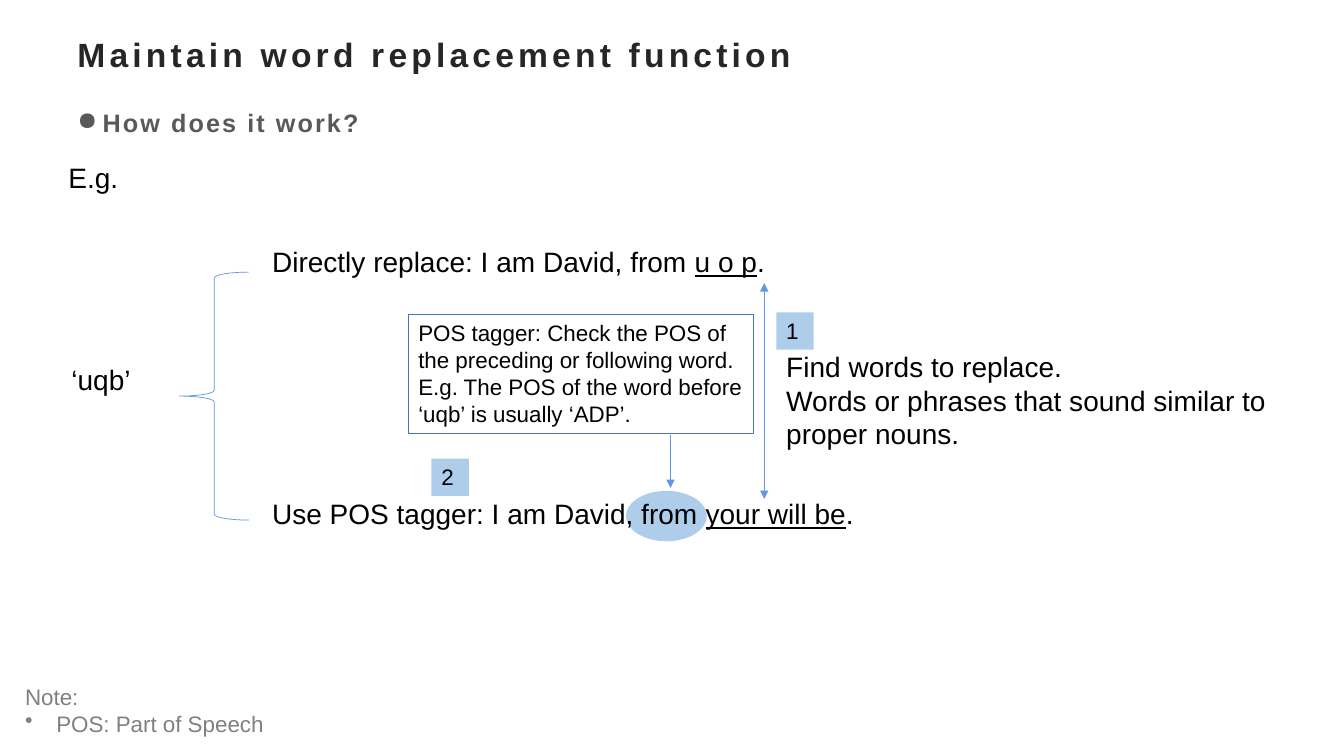
from lxml import etree
from pptx import Presentation
from pptx.dml.color import RGBColor
from pptx.enum.shapes import MSO_CONNECTOR, MSO_SHAPE
from pptx.enum.text import MSO_ANCHOR, PP_ALIGN
from pptx.oxml.ns import qn
from pptx.util import Inches, Pt

LEFT = PP_ALIGN.LEFT
TOP, MIDDLE = MSO_ANCHOR.TOP, MSO_ANCHOR.MIDDLE
RECTANGLE, OVAL, BRACE = MSO_SHAPE.RECTANGLE, MSO_SHAPE.OVAL, MSO_SHAPE.LEFT_BRACE
STRAIGHT = MSO_CONNECTOR.STRAIGHT

BLACK = RGBColor(0x00, 0x00, 0x00)
TITLE_GREY = RGBColor(0x26, 0x26, 0x26)
HEADING_GREY = RGBColor(0x59, 0x59, 0x59)
NOTE_GREY = RGBColor(0x80, 0x80, 0x80)
PALE_BLUE = RGBColor(0xAD, 0xCD, 0xEA)
LINE_BLUE = RGBColor(0x60, 0x96, 0xE6)
BORDER_BLUE = RGBColor(0x44, 0x72, 0xC4)


def write(frame, paragraphs, size=20, color=BLACK, bold=False, anchor=TOP):
    """Fill a text frame; each paragraph is a list of runs, odd runs underlined."""
    frame.word_wrap = True
    frame.vertical_anchor = anchor
    for index, runs in enumerate(paragraphs):
        paragraph = frame.paragraphs[0] if index == 0 else frame.add_paragraph()
        paragraph.alignment = LEFT
        font = paragraph.font
        font.name, font.size, font.bold = "Arial", Pt(size), bold
        font.color.rgb = color
        for position, text in enumerate(runs):
            run = paragraph.add_run()
            run.text = text
            if position % 2:
                run.font.underline = True
    return frame.paragraphs


def add_text(slide, box, paragraphs, **style):
    """Add a text box at box (left, top, width, height) in inches."""
    frame = slide.shapes.add_textbox(*map(Inches, box)).text_frame
    return write(frame, paragraphs, **style)


def add_outline(slide, kind, box, fill=None, line=None, weight=0.5):
    """Add a shadowless preset shape with optional fill and line."""
    shape = slide.shapes.add_shape(kind, *map(Inches, box))
    shape.shadow.inherit = False
    if fill is None:
        shape.fill.background()
    else:
        shape.fill.solid()
        shape.fill.fore_color.rgb = fill
    if line is None:
        shape.line.fill.background()
    else:
        shape.line.color.rgb = line
        shape.line.width = Pt(weight)
    return shape


def add_arrow(slide, x, top, bottom, ends):
    """Add a vertical line with triangles at the given ends."""
    arrow = slide.shapes.add_connector(STRAIGHT, *map(Inches, (x, top, x, bottom)))
    arrow.line.color.rgb = LINE_BLUE
    arrow.line.width = Pt(0.5)
    properties = arrow._element.spPr
    for end in ends:
        etree.SubElement(properties.find(qn("a:ln")), qn(f"a:{end}"), type="triangle")
    etree.SubElement(properties, qn("a:effectLst"))


def add_bullet(paragraph, symbol, indent):
    """Give a paragraph a bullet with a hanging indent in inches."""
    properties = paragraph._p.get_or_add_pPr()
    properties.set("marL", str(Inches(indent)))
    properties.set("indent", str(-Inches(indent)))
    bullet = etree.Element(qn("a:buChar"), char=symbol)
    properties.find(qn("a:defRPr")).addprevious(bullet)


def track(paragraph, points):
    """Set the letter spacing of a paragraph's runs."""
    for run in paragraph.runs:
        run.font._element.set("spc", str(int(points * 100)))


def add_heading(slide, left, top, width):
    """Place the title and the bulleted question."""
    title, = add_text(slide, (left, top, width, 0.77),
                      [["Maintain word replacement function"]],
                      size=24, color=TITLE_GREY, bold=True, anchor=MIDDLE)
    track(title, 3)
    question, = add_text(slide, (left, top + 0.78, width, 0.5), [["How does it work?"]],
                         size=18, color=HEADING_GREY, bold=True)
    track(question, 1.5)
    question.line_spacing = 1.3
    question.space_after = Pt(10)
    add_bullet(question, "●", 0.25)


def add_step(slide, left, top, number):
    """Place a numbered square."""
    square = add_outline(slide, RECTANGLE, (left, top, 0.37, 0.37), fill=PALE_BLUE)
    write(square.text_frame, [[number]], size=16)


def add_example(slide, left, top):
    """Place the worked example with its brace, sentences, arrows and steps."""
    add_outline(slide, OVAL, (left + 5.63, top + 3.33, 0.8, 0.5), fill=PALE_BLUE)
    add_text(slide, (left, top, 2.4, 0.44), [["E.g."]])
    add_text(slide, (left + 0.03, top + 2.01, 1.03, 0.44), [["‘uqb’"]])
    add_outline(slide, BRACE, (left + 1.2, top + 1.16, 0.69, 2.46), line=LINE_BLUE)
    sentences = [
        ["Directly replace: I am David, from ", "u o p", "."],
        ["Use POS tagger: I am David, from ", "your will be", "."],
    ]
    for row, sentence in enumerate(sentences):
        add_text(slide, (left + 2.02, top + 0.84 + 2.5 * row, 6.58, 0.44), [sentence])

    add_arrow(slide, left + 7, top + 1.27, top + 3.41, ("headEnd", "tailEnd"))
    add_text(slide, (left + 7.12, top + 1.88, 5.37, 1.11),
             [["Find words to replace."],
              ["Words or phrases that sound similar to proper nouns."]])
    add_arrow(slide, left + 6.07, top + 2.78, top + 3.3, ("tailEnd",))
    tagger = add_outline(slide, RECTANGLE, (left + 3.47, top + 1.58, 3.42, 1.18),
                         line=BORDER_BLUE, weight=0.75)
    write(tagger.text_frame,
          [["POS tagger: Check the POS of the preceding or following word. "
            "E.g. The POS of the word before ‘uqb’ is usually ‘ADP’."]], size=16)
    add_step(slide, left + 7.12, top + 1.56, "1")
    add_step(slide, left + 3.7, top + 3.01, "2")


def add_note(slide, left, top):
    """Place the abbreviation note."""
    paragraphs = add_text(slide, (left, top, 4.65, 0.64),
                          [["Note:"], ["POS: Part of Speech"]], size=16, color=NOTE_GREY)
    add_bullet(paragraphs[1], "•", 0.31)


def main():
    """Build and save the slide."""
    deck = Presentation()
    deck.slide_width, deck.slide_height = Inches(13.33), Inches(7.5)
    slide = deck.slides.add_slide(deck.slide_layouts[6])
    add_heading(slide, 0.67, 0.15, 12)
    add_example(slide, 0.58, 1.54)
    add_note(slide, 0.15, 6.73)
    deck.save("out.pptx")


if __name__ == "__main__":
    main()
